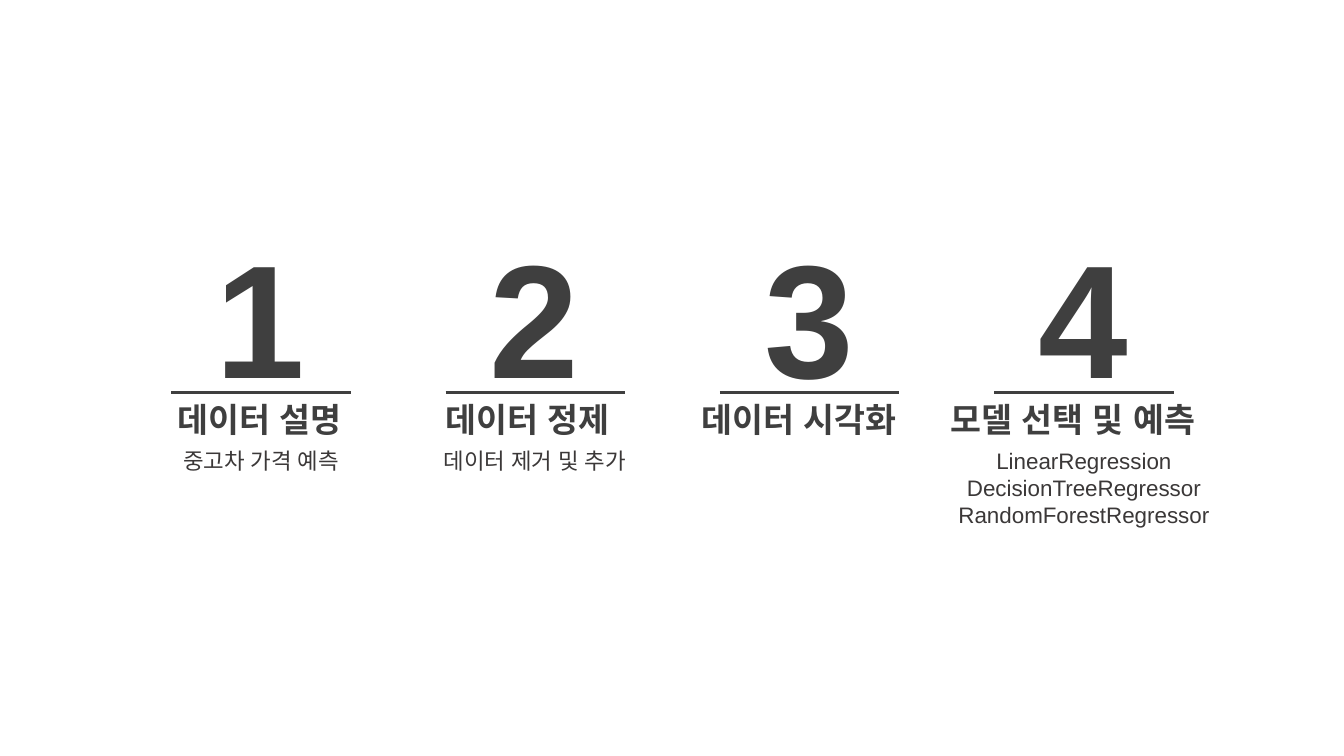
from lxml.etree import SubElement
from pptx import Presentation
from pptx.dml.color import RGBColor
from pptx.enum.shapes import MSO_CONNECTOR
from pptx.enum.text import MSO_AUTO_SIZE, PP_ALIGN
from pptx.oxml.ns import qn
from pptx.util import Pt

PX = 9144
INK = {"dark": "3F3F3F", "note": "3B3838"}
FIRST, STEP = 170, 272
TOPICS = [
    ("데이터 설명", 166, 198, ["중고차 가격 예측"], 164, 190),
    ("데이터 정제", 432, 198, ["데이터 제거 및 추가"], 421, 219),
    ("데이터 시각화", 686, 231, [], 0, 0),
    ("모델 선택 및 예측", 933, 284,
     ["LinearRegression", "DecisionTreeRegressor", "RandomForestRegressor"], 939, 272),
]


def write(shapes, lines, box, size, color="dark", bold=False, align=PP_ALIGN.LEFT):
    """Add a text box with one paragraph per line."""
    frame = shapes.add_textbox(*(n * PX for n in box)).text_frame
    frame.word_wrap = False
    frame.auto_size = MSO_AUTO_SIZE.SHAPE_TO_FIT_TEXT
    frame.text = "\n".join(lines)
    for para in frame.paragraphs:
        para.alignment = align
        font = para.runs[0].font
        font.name = "Arial"
        font.size = Pt(size)
        font.bold = bold
        font.color.rgb = RGBColor.from_string(INK[color])
        SubElement(para.runs[0]._r.rPr, qn("a:ea")).set("typeface", "Arial")


def rule(shapes, left, top, width):
    """Add a horizontal line without a shadow."""
    line = shapes.add_connector(
        MSO_CONNECTOR.STRAIGHT, left * PX, top * PX, (left + width) * PX, top * PX)
    line.line.color.rgb = RGBColor.from_string(INK["dark"])
    line.line.width = Pt(2.25)
    SubElement(line._element.spPr, qn("a:effectLst"))


def topic(slide, index, title, left, width, notes, start, span):
    """Add one numbered topic as a group."""
    shapes = slide.shapes.add_group_shape().shapes
    edge = FIRST + index * STEP
    write(shapes, [str(index + 1)], (edge + 34, 211, 110, 204), 115, bold=True)
    rule(shapes, edge, 389, 178)
    write(shapes, [title], (left, 391, width, 50), 24, bold=True)
    if notes:
        box = (start, 439, span, 10 + 27 * len(notes))
        write(shapes, notes, box, 16, color="note", align=PP_ALIGN.CENTER)


def main():
    """Build the agenda slide."""
    deck = Presentation()
    deck.slide_width, deck.slide_height = 1333 * PX, 750 * PX
    slide = deck.slides.add_slide(deck.slide_layouts[6])
    for index, item in enumerate(TOPICS):
        topic(slide, index, *item)
    deck.save("out.pptx")


if __name__ == "__main__":
    main()
